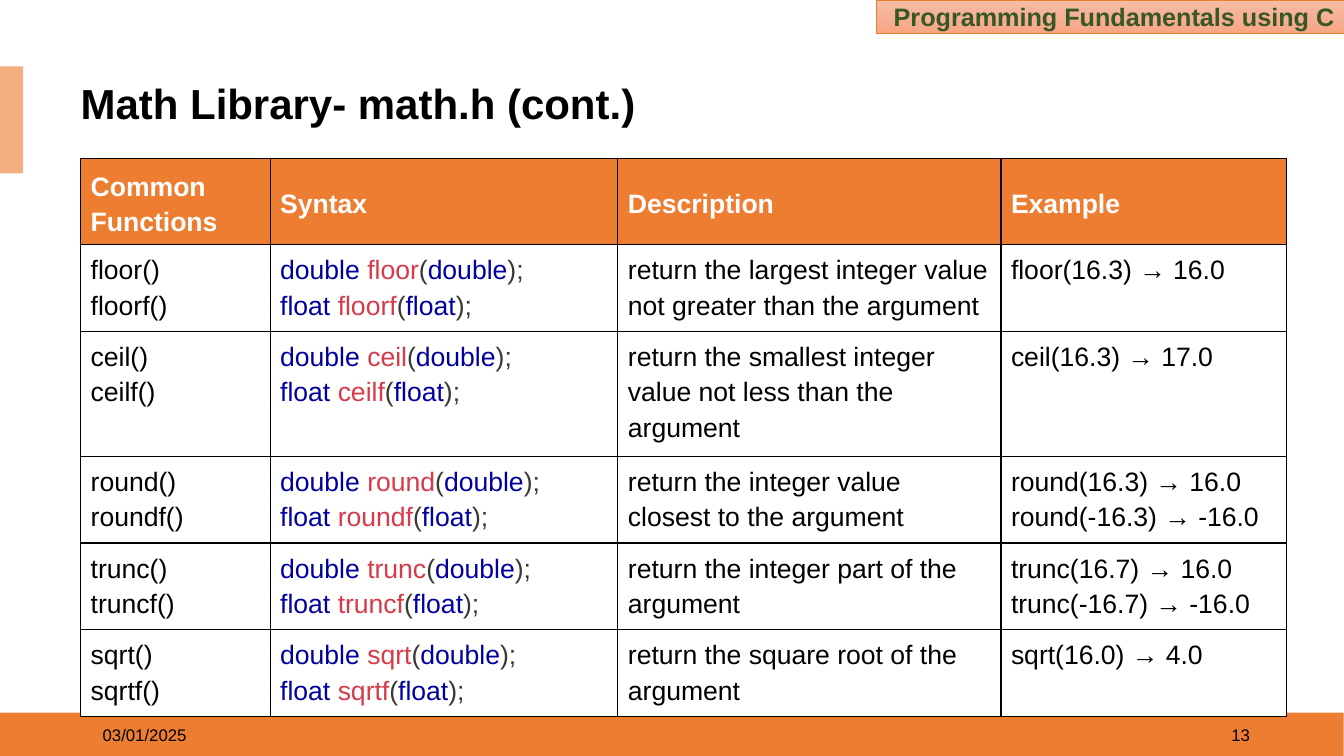
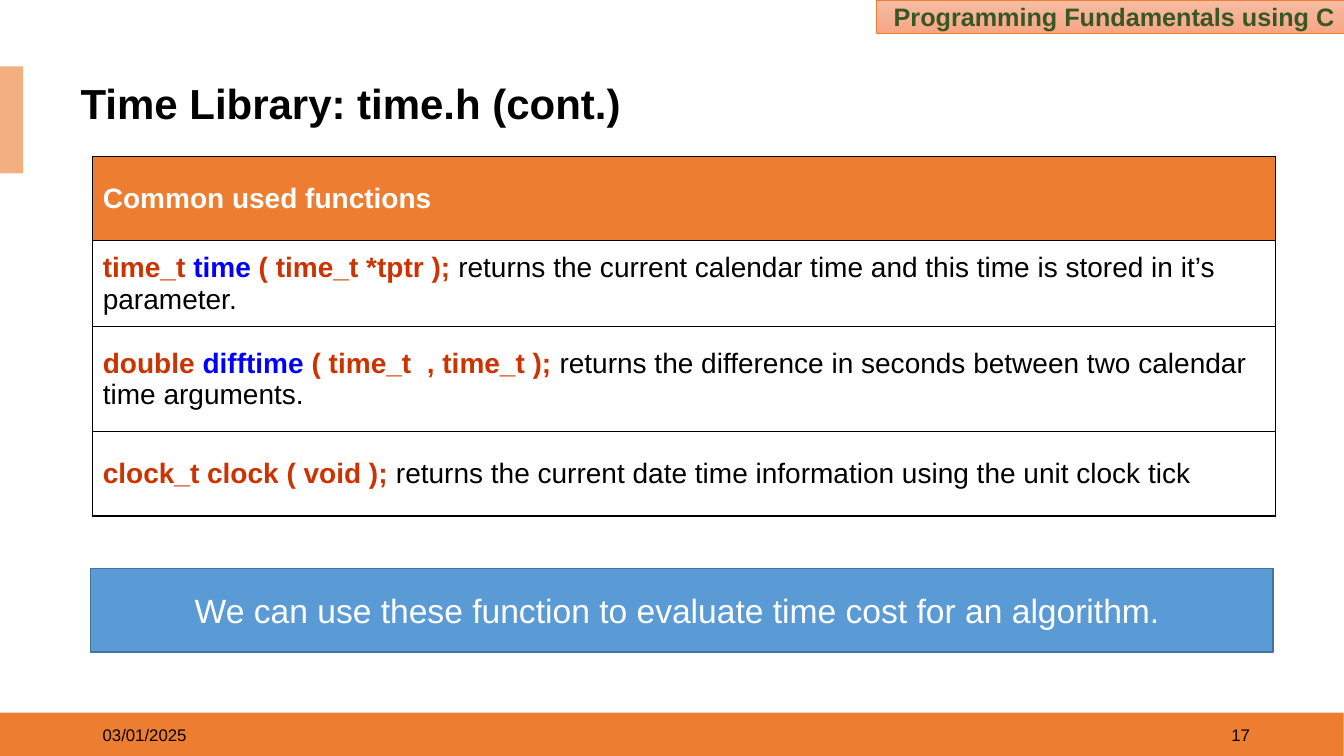
from copy import deepcopy

from lxml import etree
from pptx import Presentation
from pptx.dml.color import RGBColor
from pptx.enum import shapes, text
from pptx.oxml.ns import qn
from pptx.util import Inches, Pt

FONT = "Arial"
COLORS = {
    "accent": "ED7D31", "tab": "F4AF80", "course": "385723",
    "black": "000000", "white": "FFFFFF",
    "keyword": "00009F", "function": "D73A49", "symbol": "393A34",
    "signature": "CC3300", "name": "0000FF",
    "note": "5B9BD5", "note_line": "43739E",
}
COURSE_GRADIENT = [(0, "F7BDA5"), (0.5, "F5B196"), (1, "F8A582")]
LEFT, CENTER, RIGHT = text.PP_ALIGN.LEFT, text.PP_ALIGN.CENTER, text.PP_ALIGN.RIGHT
TOP, MIDDLE = text.MSO_ANCHOR.TOP, text.MSO_ANCHOR.MIDDLE

# Functions of math.h: name, description, examples
MATH_FUNCTIONS = [
    ("floor", "return the largest integer value not greater than the argument",
     ["floor(16.3) → 16.0"]),
    ("ceil", "return the smallest integer value not less than the argument",
     ["ceil(16.3) → 17.0"]),
    ("round", "return the integer value closest to the argument",
     ["round(16.3) → 16.0", "round(-16.3) → -16.0"]),
    ("trunc", "return the integer part of the argument",
     ["trunc(16.7) → 16.0", "trunc(-16.7) → -16.0"]),
    ("sqrt", "return the square root of the argument",
     ["sqrt(16.0) → 4.0"]),
]

# Functions of time.h: type, highlighted name, parameters, description
TIME_FUNCTIONS = [
    ("time_t ", "time", " ( time_t *tptr ); ",
     "returns the current calendar time and this time is stored in it’s parameter."),
    ("double ", "difftime", " ( time_t  , time_t ); ",
     "returns the difference in seconds between two calendar time arguments."),
    ("clock_t clock ( void ); ", "", "",
     "returns the current date time information using the unit clock tick"),
]


def rgb(key):
    return RGBColor.from_string(COLORS[key])


def write(p, runs, size, color="black", bold=False, align=LEFT, spacing=None):
    """Fill a paragraph; a run is a string or (text, color, bold)."""
    p.alignment = align
    p.line_spacing = spacing
    p.font.name, p.font.size, p.font.bold = FONT, Pt(size), bold
    p.font.color.rgb = rgb(color)
    for run in runs:
        r = p.add_run()
        if isinstance(run, str):
            r.text = run
        else:
            r.text, run_color, r.font.bold = run
            r.font.color.rgb = rgb(run_color)


def add_box(slide, box, fill, line=None, line_width=1):
    sp = slide.shapes.add_shape(shapes.MSO_SHAPE.RECTANGLE, *map(Inches, box))
    sp.shadow.inherit = False
    sp.fill.solid()
    sp.fill.fore_color.rgb = rgb(fill)
    if line:
        sp.line.color.rgb = rgb(line)
        sp.line.width = Pt(line_width)
    else:
        sp.line.fill.background()
    sp.text_frame.word_wrap = True
    sp.text_frame.vertical_anchor = MIDDLE
    return sp


def add_label(slide, box, label, align):
    tf = slide.shapes.add_textbox(*map(Inches, box)).text_frame
    tf.word_wrap = True
    tf.vertical_anchor = MIDDLE
    write(tf.paragraphs[0], [label], 12, align=align)


def add_course_banner(slide, box):
    sp = add_box(slide, box, "tab", "accent", 0.5)
    sp.fill.gradient()
    sp.fill.gradient_angle = 270
    stops = sp._element.spPr.find(".//" + qn("a:gsLst"))
    stops.insert(1, deepcopy(stops[0]))
    for stop, (position, color) in zip(sp.fill.gradient_stops, COURSE_GRADIENT):
        stop.position = position
        stop.color.rgb = RGBColor.from_string(color)
    p = sp.text_frame.paragraphs[0]
    write(p, ["Programming Fundamentals using C"], 18, "course", True, RIGHT)
    # White outline around the letters
    outline = etree.Element(qn("a:ln"), w=str(Pt(0.75)))
    fill = etree.SubElement(outline, qn("a:solidFill"))
    etree.SubElement(fill, qn("a:srgbClr"), val=COLORS["white"])
    p.runs[0]._r.get_or_add_rPr().insert(0, outline)


def add_footer(slide, box, date, number):
    left, top, width, height = box
    add_box(slide, box, "accent")
    add_label(slide, (left + 0.92, top + 0.02, 3, 0.4), date, LEFT)
    add_label(slide, (left + width - 3.83, top + 0.02, 3, 0.4), number, RIGHT)


def add_base_slide(prs, title, number):
    slide = prs.slides.add_slide(prs.slide_layouts[5])
    add_footer(slide, (0, 7.07, 13.33, 0.44), "03/01/2025", number)
    add_box(slide, (0, 0.66, 0.23, 1.06), "tab")
    add_course_banner(slide, (8.69, 0, 4.65, 0.33))
    # Title
    sp = slide.shapes.title
    sp.left, sp.top, sp.width, sp.height = map(Inches, (0.7, 0.8, 12.12, 0.51))
    sp.fill.solid()
    sp.fill.fore_color.rgb = rgb("white")
    tf = sp.text_frame
    tf.auto_size = text.MSO_AUTO_SIZE.NONE
    tf.vertical_anchor = MIDDLE
    write(tf.paragraphs[0], [title], 30, bold=True, spacing=0.9)
    return slide


def add_borders(cell):
    tc_pr = cell._tc.get_or_add_tcPr()
    for side in ("lnL", "lnR", "lnT", "lnB"):
        line = etree.SubElement(tc_pr, qn("a:" + side), w=str(Pt(1)))
        fill = etree.SubElement(line, qn("a:solidFill"))
        etree.SubElement(fill, qn("a:srgbClr"), val=COLORS["black"])


def add_grid(slide, box, widths, heights, rows, size, anchor, spacing=None):
    """Draw a bordered table; each cell is a list of paragraphs (lists of runs)."""
    frame = slide.shapes.add_table(len(heights), len(widths), *map(Inches, box))
    table = frame.table
    table.first_row = table.horz_banding = False
    for column, width in zip(table.columns, widths):
        column.width = Inches(width)
    for row, height in zip(table.rows, heights):
        row.height = Inches(height)
    # Rows grow with their text, so the frame keeps its own height
    frame.height = Inches(box[3])
    for i, row in enumerate(rows):
        header = i == 0
        for j, paragraphs in enumerate(row):
            cell = table.cell(i, j)
            add_borders(cell)
            cell.fill.solid()
            cell.fill.fore_color.rgb = rgb("accent" if header else "white")
            cell.vertical_anchor = MIDDLE if header else anchor
            tf = cell.text_frame
            for k, runs in enumerate(paragraphs):
                p = tf.add_paragraph() if k else tf.paragraphs[0]
                write(p, runs, size, "white" if header else "black", header,
                      spacing=spacing)


def prototype(kind, name):
    return [(kind + " ", "keyword", False), (name, "function", False),
            ("(", "symbol", False), (kind, "keyword", False),
            (");", "symbol", False)]


def add_math_slide(prs):
    slide = add_base_slide(prs, "Math Library- math.h (cont.)", "13")
    headings = ("Common Functions", "Syntax", "Description", "Example")
    rows = [[[[heading]] for heading in headings]]
    for name, description, examples in MATH_FUNCTIONS:
        rows.append([
            [[name + "()"], [name + "f()"]],
            [prototype("double", name), prototype("float", name + "f")],
            [[description]],
            [[example] for example in examples],
        ])
    add_grid(slide, (0.8, 1.57, 11.96, 5.33), (1.88, 3.45, 3.8, 2.83),
             (0.34, 0.5, 0.66, 0.66, 0.66, 0.66), rows, 19, TOP, 1.2)


def add_time_slide(prs):
    slide = add_base_slide(prs, "Time Library: time.h (cont.)", "17")
    rows = [[[["Common used functions"]]]]
    for kind, name, parameters, description in TIME_FUNCTIONS:
        runs = [(kind, "signature", True), (name, "name", True),
                (parameters, "signature", True), (description, "black", False)]
        rows.append([[[run for run in runs if run[0]]]])
    add_grid(slide, (0.92, 1.55, 11.73, 3.57), (11.73,),
             (0.84, 0.85, 1.04, 0.84), rows, 20, MIDDLE)
    # Closing note
    sp = add_box(slide, (0.9, 5.64, 11.73, 0.83), "note", "note_line")
    write(sp.text_frame.paragraphs[0],
          ["We can use these function to evaluate time cost for an algorithm. "],
          24, "white", align=CENTER)


def main():
    prs = Presentation()
    prs.slide_width, prs.slide_height = Inches(40) // 3, Inches(7.5)
    add_math_slide(prs)
    add_time_slide(prs)
    prs.save("out.pptx")


if __name__ == "__main__":
    main()
